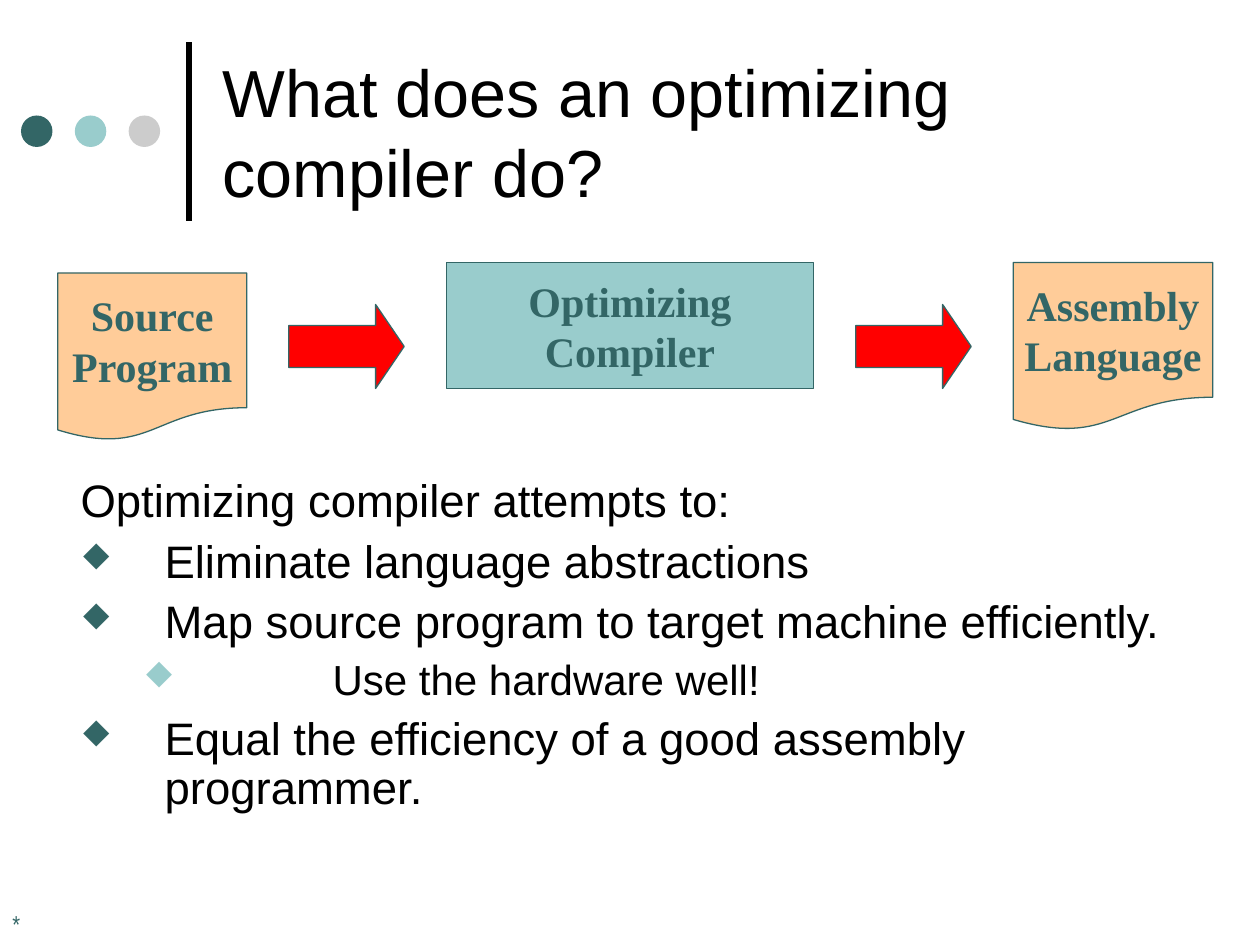
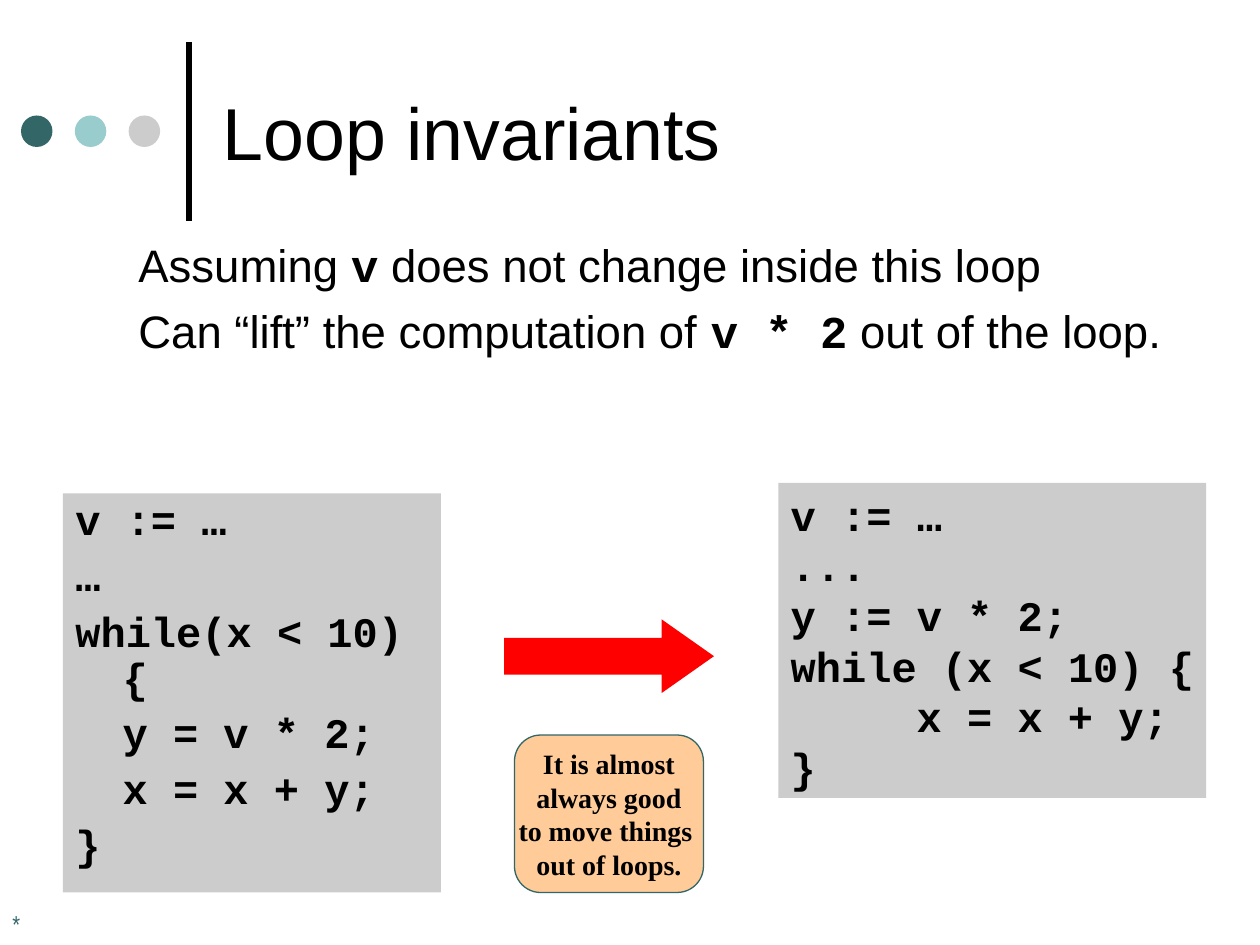
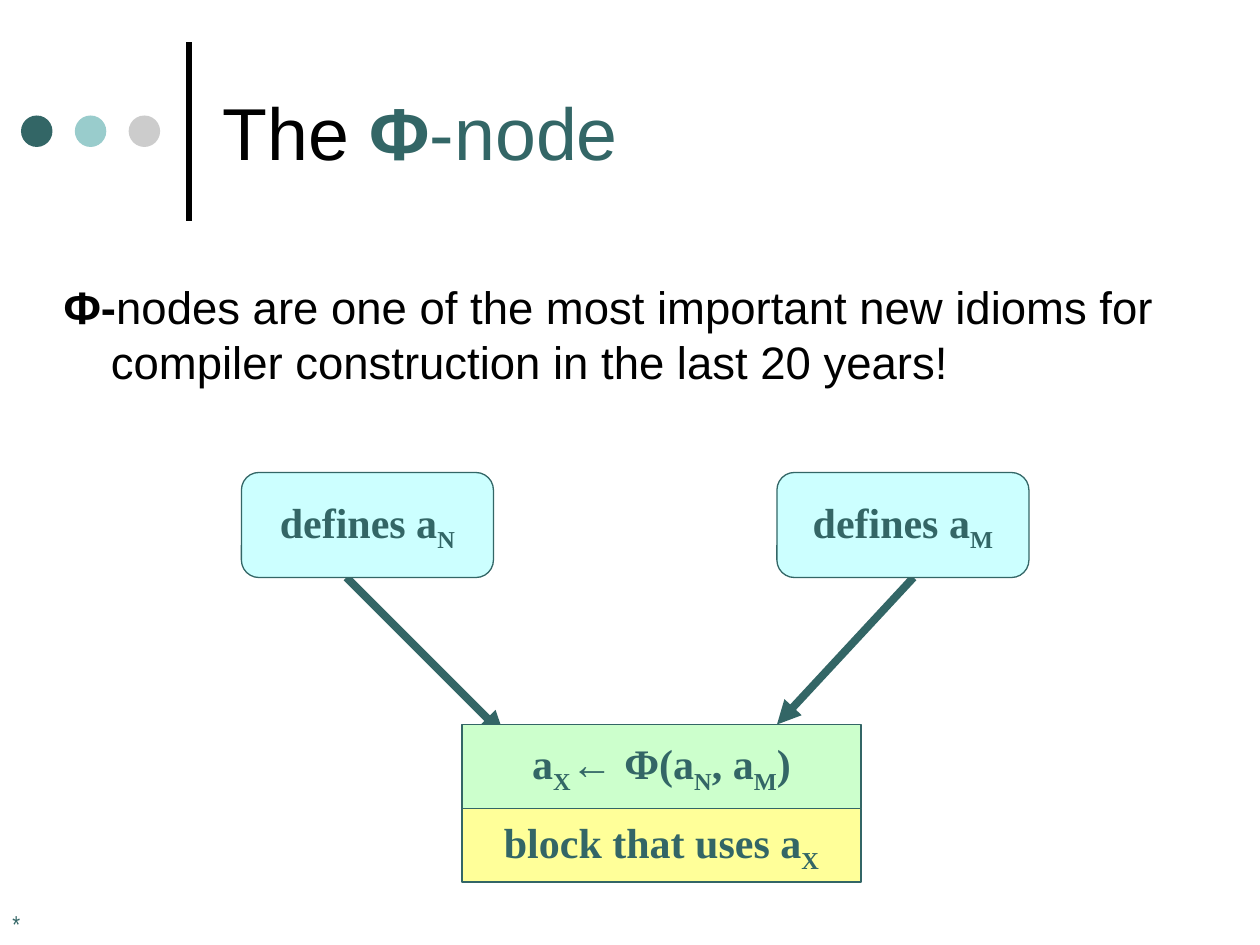
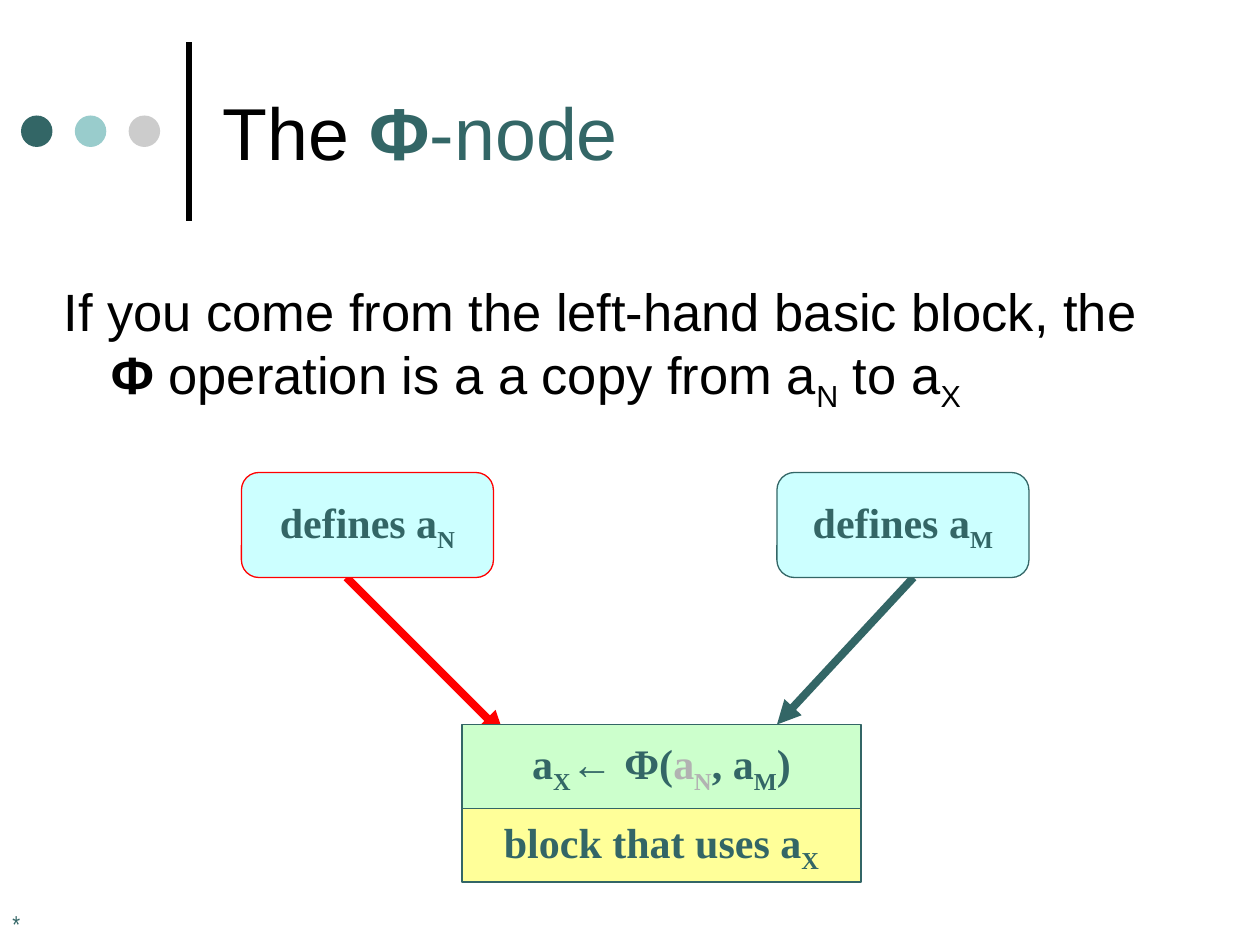
from lxml.etree import SubElement
from pptx import Presentation
from pptx.dml.color import RGBColor
from pptx.enum.shapes import MSO_CONNECTOR, MSO_SHAPE as SHAPE
from pptx.enum.text import MSO_ANCHOR as ANCHOR, PP_ALIGN as ALIGN
from pptx.oxml.ns import qn
from pptx.util import Emu, Pt

PX = 9525
SLIDE_SIZE = (960, 720)
COLORS = {
    "ink": "000000", "teal": "336666", "aqua": "99CCCC", "grey": "CCCCCC",
    "faded": "B2B2B2", "peach": "FFCC99", "red": "FF0000", "ice": "CCFFFF",
    "mint": "CCFFCC", "lemon": "FFFF99",
}
SANS, SERIF, MONO, NARROW = "Arial", "Times New Roman", "Courier New", "Arial Narrow"
DIAMOND_FONT, DIAMOND = "Wingdings", "u"  # this letter draws as ⬥ in the symbol font
LABEL = dict(size=24, font=SERIF, color="teal", bold=True, align=ALIGN.CENTER,
             anchor=ANCHOR.MIDDLE, wrap=False)
CODE = dict(size=24, font=MONO, bold=True)
HANGING = dict(margin=36, indent=-36)
BOLD = dict(bold=True)
CODE_WORD = dict(font=MONO, bold=True)
TITLE_BOX = (160, 20, 736, 160)
PHI_TITLE = [("The ", {}), ("Φ", dict(color="teal", bold=True)),
             ("-node", dict(color="teal"))]


def px(*lengths):
    return [Emu(length * PX) for length in lengths]


def rgb(name):
    return RGBColor.from_string(COLORS[name])


def sub(letter, **fmt):
    """A run set below the baseline."""
    return letter, dict(fmt, base=-25)


def add_run(paragraph, text, size, font, color, bold=False, base=0):
    for i, line in enumerate(text.split("\n")):
        if i:
            paragraph.add_line_break()
        run = paragraph.add_run()
        run.text = line
        run.font.size, run.font.name, run.font.bold = Pt(size), font, bold
        run.font.color.rgb = rgb(color)
        if base:
            run.font._element.set("baseline", str(base * 1000))


def add_bullet(paragraph, color, percent):
    props = paragraph._p.get_or_add_pPr()
    SubElement(SubElement(props, qn("a:buClr")), qn("a:srgbClr"), val=COLORS[color])
    SubElement(props, qn("a:buSzPct"), val=str(percent * 1000))
    SubElement(props, qn("a:buFont"), typeface=DIAMOND_FONT, charset="2")
    SubElement(props, qn("a:buChar"), char=DIAMOND)


def write(shape, paragraphs, anchor=ANCHOR.TOP, wrap=True, **shared):
    """Fill a shape; a paragraph is a string, a list of (text, format) runs,
    or a pair of either with a dict that overrides the shared format."""
    frame = shape.text_frame
    frame.word_wrap, frame.vertical_anchor = wrap, anchor
    for i, content in enumerate(paragraphs):
        paragraph = frame.paragraphs[0] if i == 0 else frame.add_paragraph()
        content, own = content if isinstance(content, tuple) else (content, {})
        fmt = dict(size=18, font=SANS, color="ink", align=ALIGN.LEFT, before=0,
                   spacing=None, margin=0, indent=0, bullet=None) | shared | own
        paragraph.alignment = fmt.pop("align")
        paragraph.space_before = Pt(fmt.pop("before"))
        paragraph.line_spacing = fmt.pop("spacing")
        props = paragraph._p.get_or_add_pPr()
        props.set("marL", str(fmt.pop("margin") * PX))
        props.set("indent", str(fmt.pop("indent") * PX))
        bullet = fmt.pop("bullet")
        if bullet:
            add_bullet(paragraph, *bullet)
        for text, run_fmt in [(content, {})] if isinstance(content, str) else content:
            add_run(paragraph, text, **fmt | run_fmt)


def add_text(slide, box, paragraphs, **fmt):
    write(slide.shapes.add_textbox(*px(*box)), paragraphs, **fmt)


def add_block(slide, kind, box, fill, line="teal", paragraphs=(), adjust=(), **fmt):
    block = slide.shapes.add_shape(kind, *px(*box))
    block.shadow.inherit = False
    block.fill.solid()
    block.fill.fore_color.rgb = rgb(fill)
    if line:
        block.line.color.rgb, block.line.width = rgb(line), Pt(0.75)
    else:
        block.line.fill.background()
    for i, value in enumerate(adjust):
        block.adjustments[i] = value
    if paragraphs:
        write(block, paragraphs, **fmt)


def add_line(slide, start, end, color, width, arrow=False):
    line = slide.shapes.add_connector(MSO_CONNECTOR.STRAIGHT, *px(*start, *end))
    line.line.color.rgb, line.line.width = rgb(color), Pt(width)
    if arrow:
        SubElement(line.line._get_or_add_ln(), qn("a:tailEnd"), type="triangle")
    SubElement(line._element.spPr, qn("a:effectLst"))


def add_slide(deck, title, size=42):
    """A slide with the rule, dots, footer mark and title that all share."""
    slide = deck.slides.add_slide(deck.slide_layouts[6])
    add_line(slide, (144, 168), (144, 32), "ink", 3)
    for i, color in enumerate(("teal", "aqua", "grey")):
        add_block(slide, SHAPE.OVAL, (16 + 41 * i, 88, 24, 24), color, None)
    add_text(slide, (0, 688, 200, 48), ["*"], size=14, font=NARROW, color="teal")
    add_text(slide, TITLE_BOX, [title], size=size, anchor=ANCHOR.MIDDLE)
    return slide


def compiler_flow(slide, left, top):
    add_block(slide, SHAPE.RECTANGLE, (left + 296, top, 280, 96), "aqua",
              paragraphs=["Optimizing", "Compiler"], **LABEL)
    for x, y, width, words in ((0, 8, 144, ["Source", "Program"]),
                               (728, 0, 152, ["Assembly", "Language"])):
        add_block(slide, SHAPE.FLOWCHART_DOCUMENT, (left + x, top + y, width, 128),
                  "peach", paragraphs=words, **LABEL)
    for x in (176, 608):
        add_block(slide, SHAPE.RIGHT_ARROW, (left + x, top + 32, 88, 64), "red",
                  adjust=(0.5, 0.34))


def compiler_goals(slide, box):
    goal = dict(bullet=("teal", 70))
    detail = dict(bullet=("aqua", 75), size=24, before=6, margin=192, indent=-144)
    add_text(slide, box, [
        "Optimizing compiler attempts to:",
        ("Eliminate language abstractions", goal),
        ("Map source program to target machine efficiently.", goal),
        ("Use the hardware well!", detail),
        ("Equal the efficiency of a good assembly programmer.", goal),
    ], size=26, before=6.5, spacing=0.9, margin=64, indent=-64)


def loop_rewrite(slide, left, top):
    """The loop before and after lifting, with the arrow and remark between."""
    body = dict(indent=0)
    add_block(slide, SHAPE.RECTANGLE, (left, top + 8, 288, 304), "grey", None, [
        "v := …", "…", "while(x < 10) {", ("y = v * 2;", body),
        ("x = x + y;", body), "}",
    ], before=6, spacing=0.9, **CODE, **HANGING)
    add_block(slide, SHAPE.FLOWCHART_ALTERNATE_PROCESS,
              (left + 344, top + 192, 144, 120), "peach", paragraphs=[
                  "It is almost", "always good", "to move things ", "out of loops.",
              ], **LABEL | dict(size=16, color="ink"))
    add_block(slide, SHAPE.RECTANGLE, (left + 545, top, 326, 240), "grey", None, [
        "v := …", "...", "y := v * 2;", "while (x < 10) {",
        ("x = x + y;", dict(margin=96)), "}",
    ], wrap=False, **CODE)
    add_block(slide, SHAPE.RIGHT_ARROW, (left + 336, top + 104, 160, 56), "red", None,
              adjust=(0.5, 0.71))


def phi_graph(slide, left, top, taken="teal", argument="teal"):
    """Two definitions that meet in a Φ-node; taken colours the left branch."""
    add_block(slide, SHAPE.RECTANGLE, (left + 168, top + 256, 304, 56), "lemon",
              paragraphs=[[("block that uses a", {}), sub("X")]], **LABEL)
    add_line(slide, (left + 80, top + 80), (left + 200, top + 200), taken, 4.5, True)
    add_line(slide, (left + 512, top + 80), (left + 408, top + 192), "teal", 4.5, True)
    for x, name, outline in ((0, "N", taken), (408, "M", "teal")):
        add_block(slide, SHAPE.ROUNDED_RECTANGLE, (left + x, top, 192, 80), "ice",
                  outline, [[("defines a", {}), sub(name)]], **LABEL)
    add_block(slide, SHAPE.FLOWCHART_PROCESS, (left + 168, top + 192, 304, 64), "mint",
              paragraphs=[[
                  ("a", {}), sub("X"), ("← ", dict(font=SANS)), ("Φ(", {}),
                  ("a", dict(color=argument)), sub("N", color=argument),
                  (", a", {}), sub("M"), (")", {}),
              ]], **LABEL)


def compiler_slide(deck):
    slide = add_slide(deck, "What does an optimizing\ncompiler do?", size=38)
    compiler_goals(slide, (52, 360, 856, 296))
    compiler_flow(slide, 44, 200)


def loop_slide(deck):
    slide = add_slide(deck, "Loop invariants")
    add_text(slide, (96, 176, 832, 432), [
        [("Assuming ", {}), ("v", CODE_WORD), (" does not change inside this loop", {})],
        [("Can “lift” the computation of ", {}), ("v * 2", CODE_WORD),
         (" out of the loop.", {})],
    ], size=26, before=6.5, **HANGING)
    loop_rewrite(slide, 48, 368)


def phi_slide(deck, statement, size, before, **branch):
    slide = add_slide(deck, PHI_TITLE)
    add_text(slide, (39, 208, 880, 128), [statement], size=size, before=before, **HANGING)
    phi_graph(slide, 184, 360, **branch)


def main():
    deck = Presentation()
    deck.slide_width, deck.slide_height = px(*SLIDE_SIZE)
    compiler_slide(deck)
    loop_slide(deck)
    phi_slide(deck, [
        ("Φ-", BOLD),
        ("nodes are one of the most important new idioms for compiler construction "
         "in the last 20 years!", {}),
    ], size=26, before=6.5)
    phi_slide(deck, [
        ("If you come from the left-hand basic block, the ", {}), ("Φ ", BOLD),
        ("operation is a a copy from a", {}), sub("N"), (" to a", {}), sub("X"),
    ], size=30, before=7.5, taken="red", argument="faded")
    deck.save("out.pptx")


if __name__ == "__main__":
    main()
